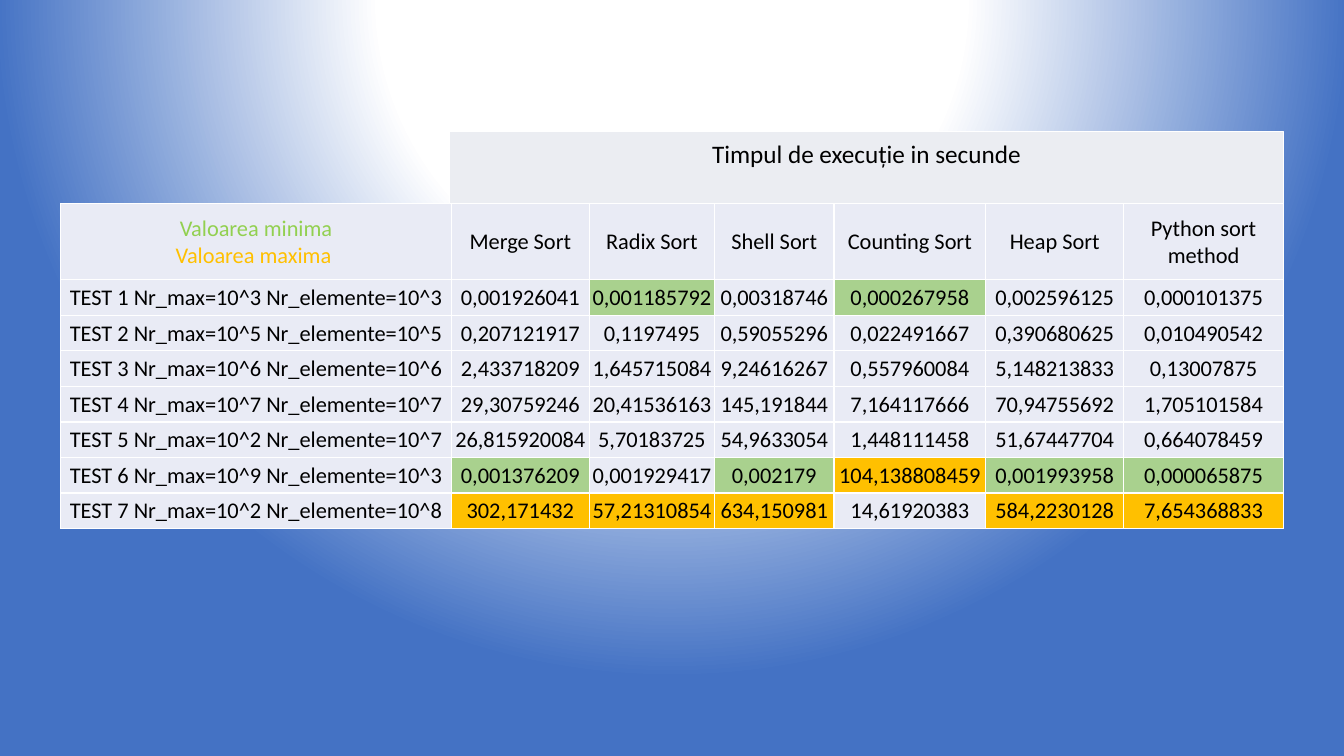
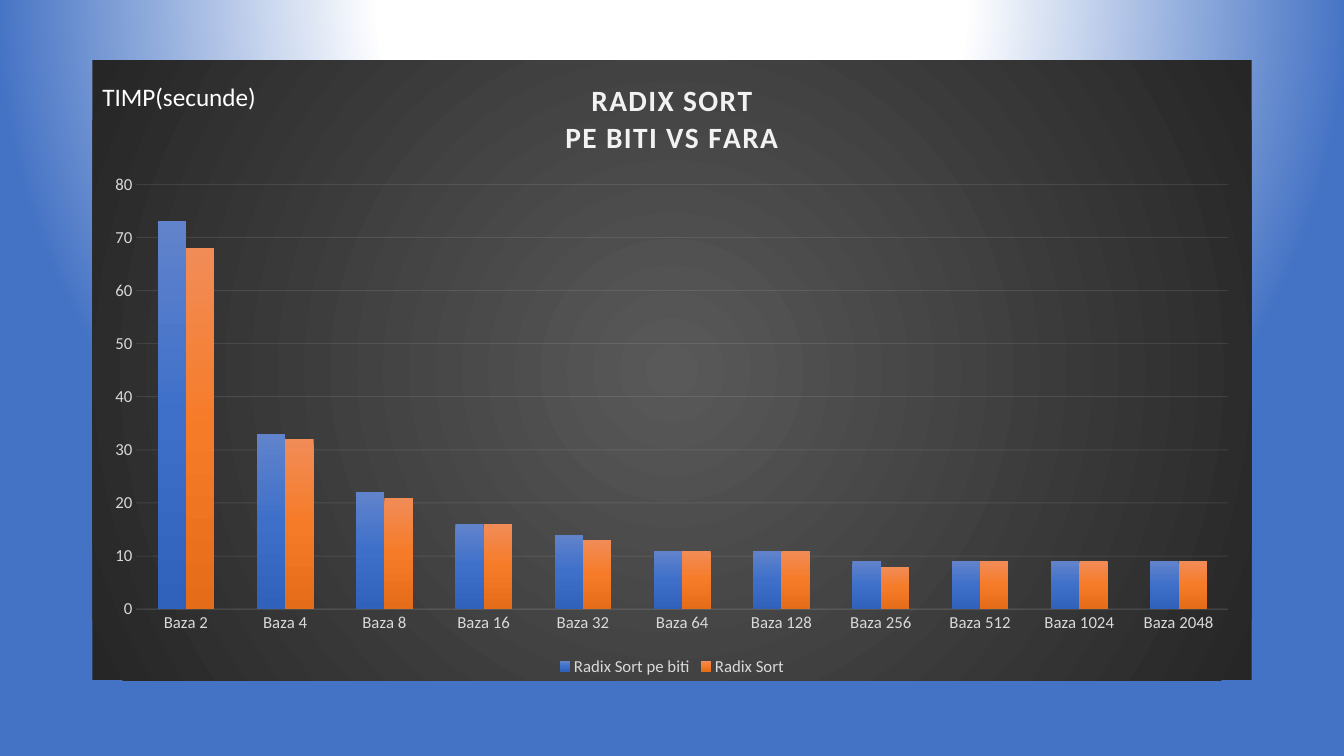
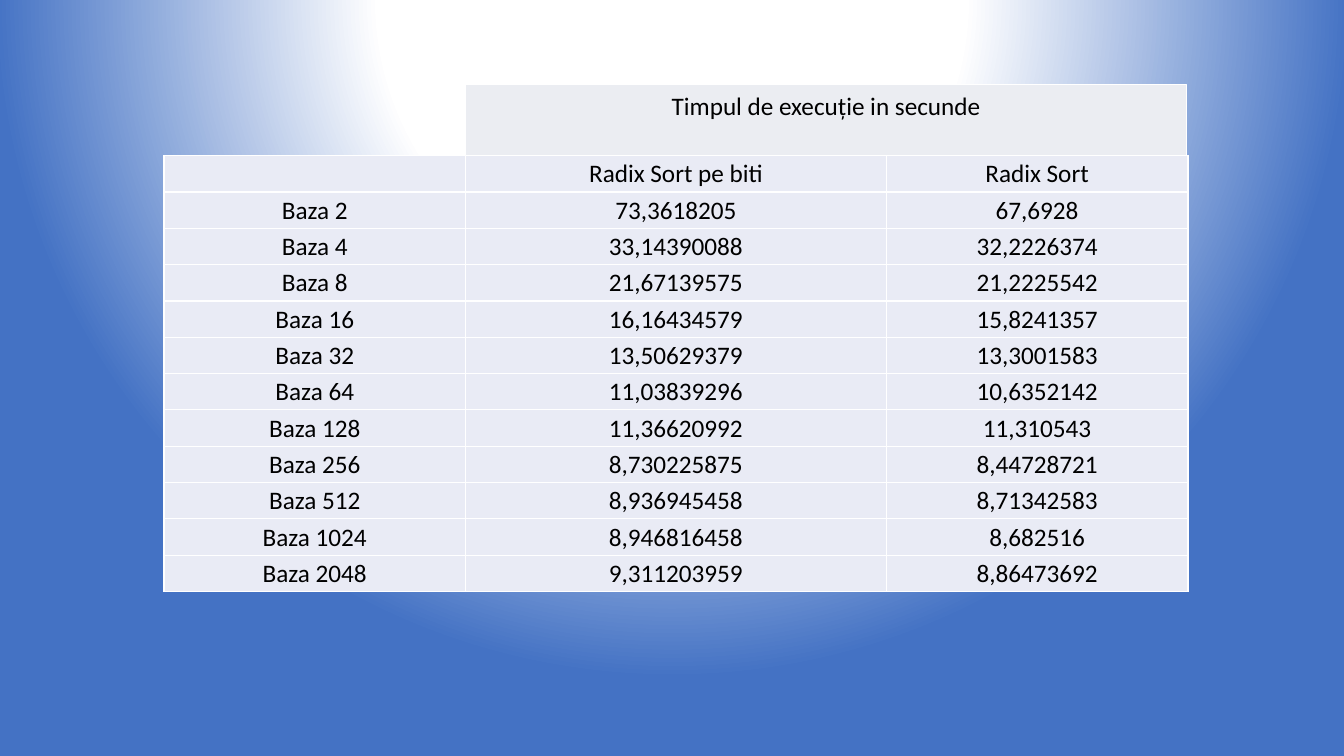
from dataclasses import dataclass

from pptx import Presentation
from pptx.chart.data import CategoryChartData
from pptx.dml.color import RGBColor
from pptx.enum.chart import XL_CHART_TYPE as ChartType
from pptx.enum.chart import XL_LEGEND_POSITION as LegendPosition
from pptx.enum.chart import XL_TICK_MARK as TickMark
from pptx.enum.shapes import MSO_SHAPE as Preset
from pptx.enum.text import MSO_ANCHOR as Anchor
from pptx.enum.text import PP_ALIGN as Align
from pptx.oxml import parse_xml
from pptx.oxml.ns import nsdecls, qn
from pptx.util import Pt

FONT = "Calibri"
COLORS = {
    "white": "FFFFFF",
    "black": "000000",
    "blue": "4472C4",
    "cell": "E9EBF5",
    "banner": "EBEDF2",
    "min_cell": "A9D18E",
    "max_cell": "FFC000",
    "min_text": "92D050",
    "max_text": "FFC000",
    "chart_center": "595959",
    "chart_edge": "262626",
    "chart_title": "F2F2F2",
    "chart_label": "D9D9D9",
}
SERIES_GRADIENTS = (
    ("6183CB", "3E70CA", "3062BB"),
    ("F18C57", "F67B28", "E56C19"),
)

ALGORITHMS = ("Merge Sort", "Radix Sort", "Shell Sort", "Counting Sort",
              "Heap Sort", "Python sort method")
TEST_POWERS = ((3, 3), (5, 5), (6, 6), (7, 7), (2, 7), (9, 3), (2, 8))
TEST_TIMES = (
    ("0,001926041", "0,001185792", "0,00318746", "0,000267958", "0,002596125", "0,000101375"),
    ("0,207121917", "0,1197495", "0,59055296", "0,022491667", "0,390680625", "0,010490542"),
    ("2,433718209", "1,645715084", "9,24616267", "0,557960084", "5,148213833", "0,13007875"),
    ("29,30759246", "20,41536163", "145,191844", "7,164117666", "70,94755692", "1,705101584"),
    ("26,815920084", "5,70183725", "54,9633054", "1,448111458", "51,67447704", "0,664078459"),
    ("0,001376209", "0,001929417", "0,002179", "104,138808459", "0,001993958", "0,000065875"),
    ("302,171432", "57,21310854", "634,150981", "14,61920383", "584,2230128", "7,654368833"),
)
RADIX_VARIANTS = ("Radix Sort pe biti", "Radix Sort")
RADIX_TIMES = (
    ("73,3618205", "67,6928"),
    ("33,14390088", "32,2226374"),
    ("21,67139575", "21,2225542"),
    ("16,16434579", "15,8241357"),
    ("13,50629379", "13,3001583"),
    ("11,03839296", "10,6352142"),
    ("11,36620992", "11,310543"),
    ("8,730225875", "8,44728721"),
    ("8,936945458", "8,71342583"),
    ("8,946816458", "8,682516"),
    ("9,311203959", "8,86473692"),
)
BASES = tuple(f"Baza {2 ** power}" for power in range(1, len(RADIX_TIMES) + 1))


@dataclass(frozen=True)
class Box:
    left: float
    top: float
    width: float
    height: float

    def lengths(self):
        return Pt(self.left), Pt(self.top), Pt(self.width), Pt(self.height)


@dataclass(frozen=True)
class Line:
    text: str
    color: str = "black"


@dataclass(frozen=True)
class Cell:
    lines: tuple[Line, ...]
    fill: str = "cell"


@dataclass(frozen=True)
class Grid:
    left: float
    top: float
    widths: tuple[float, ...]
    heights: tuple[float, ...]
    size: float


RADIX_CHART = Box(66, 43.2, 828, 442.8)


def rgb(name: str) -> RGBColor:
    return RGBColor.from_string(COLORS[name])


def seconds(text: str) -> float:
    return float(text.replace(",", "."))


def plain(text: str) -> Cell:
    return Cell((Line(text),) if text else ())


def style(font, size: float, color: str) -> None:
    font.name, font.size = FONT, Pt(size)
    font.color.rgb = rgb(color)


def write(paragraph, line: Line, size: float, align: Align = Align.CENTER) -> None:
    paragraph.alignment = align
    run = paragraph.add_run()
    run.text = line.text
    style(run.font, size, line.color)


def gradient_xml(stops, direction: str) -> str:
    marks = "".join(
        f'<a:gs pos="{position * 1000}"><a:srgbClr val="{color}">'
        f'<a:alpha val="{alpha * 1000}"/></a:srgbClr></a:gs>'
        for position, color, alpha in stops)
    return f'<a:gradFill {nsdecls("a")} rotWithShape="1"><a:gsLst>{marks}</a:gsLst>{direction}</a:gradFill>'


def circle(left: int, top: int, right: int, bottom: int) -> str:
    return (f'<a:path path="circle"><a:fillToRect l="{left * 1000}" t="{top * 1000}" '
            f'r="{right * 1000}" b="{bottom * 1000}"/></a:path>')


def set_gradient(fill, owner, xml: str) -> None:
    fill.gradient()
    old = owner.find(".//" + qn("a:gradFill"))
    old.getparent().replace(old, parse_xml(xml))


def paint_background(master) -> None:
    stops = ((0, COLORS["white"], 100), (38, COLORS["white"], 50), (88, COLORS["blue"], 100))
    set_gradient(master.background.fill, master._element,
                 gradient_xml(stops, circle(50, -80, 50, 180)))


def add_borders(cell) -> None:
    properties = cell._tc.get_or_add_tcPr()
    for index, side in enumerate(("lnL", "lnR", "lnT", "lnB")):
        properties.insert(index, parse_xml(
            f'<a:{side} {nsdecls("a")} w="12700"><a:solidFill>'
            f'<a:srgbClr val="{COLORS["white"]}"/></a:solidFill></a:{side}>'))


def add_grid(slide, grid: Grid, rows: list[list[Cell]]) -> None:
    box = Box(grid.left, grid.top, sum(grid.widths), sum(grid.heights))
    table = slide.shapes.add_table(len(rows), len(grid.widths), *box.lengths()).table
    table.first_row = table.horz_banding = False
    for column, width in zip(table.columns, grid.widths):
        column.width = Pt(width)
    for row, height, contents in zip(table.rows, grid.heights, rows):
        row.height = Pt(height)
        for cell, content in zip(row.cells, contents):
            cell.margin_left = cell.margin_right = cell.margin_top = Pt(0.7)
            cell.margin_bottom = 0
            cell.vertical_anchor = Anchor.MIDDLE
            cell.fill.solid()
            cell.fill.fore_color.rgb = rgb(content.fill)
            add_borders(cell)
            frame = cell.text_frame
            for index, line in enumerate(content.lines):
                write(frame.add_paragraph() if index else frame.paragraphs[0], line, grid.size)


def add_banner(slide, box: Box) -> None:
    banner = slide.shapes.add_shape(Preset.RECTANGLE, *box.lengths())
    banner.shadow.inherit = False
    banner.fill.solid()
    banner.fill.fore_color.rgb = rgb("banner")
    banner.line.color.rgb = rgb("white")
    banner.line.width = Pt(0.75)
    frame = banner.text_frame
    frame.word_wrap = True
    frame.vertical_anchor = Anchor.BOTTOM
    frame.margin_bottom = Pt(25)
    write(frame.paragraphs[0], Line("Timpul de execuție in secunde"), 18)


def test_rows() -> list[list[Cell]]:
    legend = Cell((Line("Valoarea minima", "min_text"), Line("Valoarea maxima ", "max_text")))
    rows = [[legend, *map(plain, ALGORITHMS)]]
    fills = []
    for column in zip(*TEST_TIMES):
        fills.append({max(column, key=seconds): "max_cell", min(column, key=seconds): "min_cell"})
    for number, ((top, count), times) in enumerate(zip(TEST_POWERS, TEST_TIMES), 1):
        name = plain(f"TEST {number} Nr_max=10^{top} Nr_elemente=10^{count}")
        rows.append([name, *(Cell((Line(time),), marked.get(time, "cell"))
                             for time, marked in zip(times, fills))])
    return rows


def radix_rows() -> list[list[Cell]]:
    texts = [("", *RADIX_VARIANTS), *((base, *times) for base, times in zip(BASES, RADIX_TIMES))]
    return [[plain(text) for text in row] for row in texts]


def set_layout(parent, index: int, target: str = "", **places: float) -> None:
    old = parent.find(qn("c:layout"))
    if old is not None:
        parent.remove(old)
    spans = {"x": RADIX_CHART.width, "y": RADIX_CHART.height,
             "w": RADIX_CHART.width, "h": RADIX_CHART.height}
    inner = f'<c:layoutTarget val="{target}"/>' if target else ""
    modes = "".join(f'<c:{key}Mode val="edge"/>' for key in places if key in "xy")
    values = "".join(f'<c:{key} val="{value / spans[key]:.4f}"/>' for key, value in places.items())
    parent.insert(index, parse_xml(
        f'<c:layout {nsdecls("c")}><c:manualLayout>{inner}{modes}{values}</c:manualLayout></c:layout>'))


def faint(line) -> None:
    line.width = Pt(0.75)
    line.color.rgb = rgb("chart_title")
    color = line._get_or_add_ln().find(".//" + qn("a:srgbClr"))
    color.append(parse_xml(f'<a:alpha {nsdecls("a")} val="10000"/>'))


def title_chart(chart) -> None:
    frame = chart.chart_title.text_frame
    for index, text in enumerate(("RADIX SORT", "PE BITI VS FARA")):
        paragraph = frame.add_paragraph() if index else frame.paragraphs[0]
        write(paragraph, Line(text, "chart_title"), 21)
        run = paragraph.runs[0]
        run.font.bold = True
        run._r.get_or_add_rPr().set("spc", "100")
    set_layout(chart.chart_title._element, 1, x=335.7, y=12.5)


def style_axes(chart) -> None:
    for axis in (chart.category_axis, chart.value_axis):
        axis.major_tick_mark = axis.minor_tick_mark = TickMark.NONE
        style(axis.tick_labels.font, 12, "chart_label")
    faint(chart.category_axis.format.line)
    values = chart.value_axis
    values.minimum_scale, values.maximum_scale, values.major_unit = 0, 80, 10
    values.format.line.fill.background()
    faint(values.major_gridlines.format.line)


def add_radix_chart(slide) -> None:
    data = CategoryChartData(number_format="General")
    data.categories = BASES
    for variant, times in zip(RADIX_VARIANTS, zip(*RADIX_TIMES)):
        data.add_series(variant, [round(seconds(time)) for time in times])
    chart = slide.shapes.add_chart(ChartType.COLUMN_CLUSTERED, *RADIX_CHART.lengths(), data).chart
    style(chart.font, 10, "black")
    title_chart(chart)
    style_axes(chart)
    chart.has_legend = True
    chart.legend.position = LegendPosition.BOTTOM
    chart.legend.include_in_layout = False
    style(chart.legend.font, 12, "chart_label")

    plot = chart.plots[0]
    plot.gap_width, plot.overlap = 150, 0
    plot.vary_by_categories = False
    for series, colors in zip(plot.series, SERIES_GRADIENTS):
        stops = [(position, color, 100) for position, color in zip((0, 50, 100), colors)]
        set_gradient(series.format.fill, series._element,
                     gradient_xml(stops, '<a:lin ang="5400000" scaled="0"/>'))

    body = chart._chartSpace.find(qn("c:chart"))
    set_layout(body.find(qn("c:plotArea")), 0, "inner", x=31.4, y=88.5, w=780, h=303.5)
    stops = ((0, COLORS["chart_center"], 100), (100, COLORS["chart_edge"], 100))
    body.addnext(parse_xml(
        f'<c:spPr {nsdecls("c", "a")}>{gradient_xml(stops, circle(50, 50, 50, 50))}'
        '<a:ln><a:noFill/></a:ln></c:spPr>'))


def add_time_label(slide, box: Box) -> None:
    frame = slide.shapes.add_textbox(*box.lengths()).text_frame
    frame.word_wrap = False
    write(frame.paragraphs[0], Line("TIMP(secunde)", "white"), 18, Align.LEFT)


def main() -> None:
    deck = Presentation()
    deck.slide_width, deck.slide_height = Pt(960), Pt(540)
    paint_background(deck.slide_master)
    tests, chart, radix = (deck.slides.add_slide(deck.slide_layouts[6]) for _ in range(3))

    add_grid(tests, Grid(43.4, 145.4, (279, 98.6, 89.4, 85.4, 108.4, 98.6, 114),
                         (54.4,) + (25.4,) * len(TEST_TIMES), 16), test_rows())
    add_banner(tests, Box(321.2, 94, 595.5, 51.4))

    add_radix_chart(chart)
    add_time_label(chart, Box(66, 54.8, 124.6, 29))

    add_grid(radix, Grid(117.1, 111.2, (215.5, 300.5, 215.5),
                         (25.95,) * (len(BASES) + 1), 18), radix_rows())
    add_banner(radix, Box(332.6, 60.4, 515, 51))
    deck.save("out.pptx")


if __name__ == "__main__":
    main()
